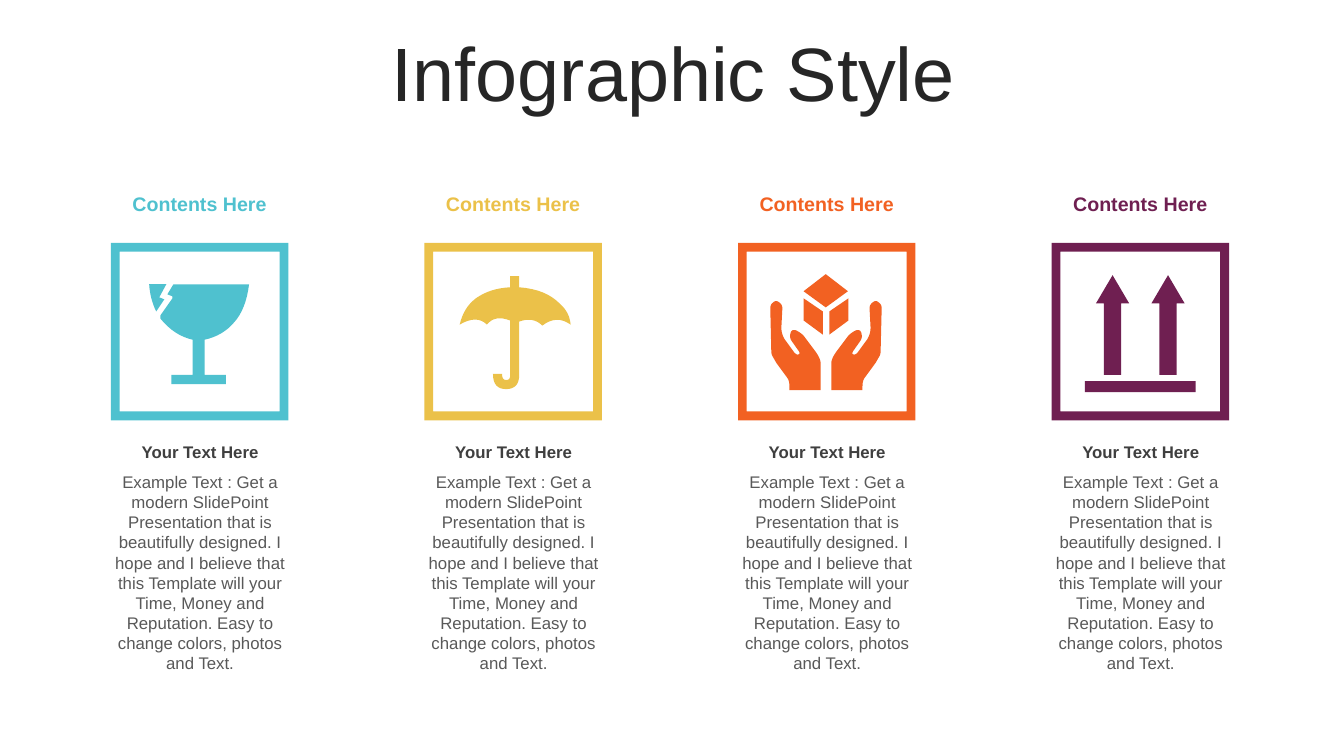
from dataclasses import dataclass

from pptx import Presentation
from pptx import util as u
from pptx.dml import color
from pptx.enum import shapes, text

COLUMNS, ROWS = 1333, 750
COLUMN_PITCH = 311
FRAME_LEFT, FRAME_TOP, FRAME_SIZE, FRAME_BORDER = 110, 241, 176, 8.7
HANDS_AXIS = 87.25
CURVE_STEPS = 8

HEADING = "Contents Here"
SUBHEADING = "Your Text Here"
BODY = (
    "Example Text : Get a modern SlidePoint Presentation that is beautifully "
    "designed. I hope and I believe that this Template will your Time, Money "
    "and Reputation. Easy to change colors, photos and Text."
)

GLASS_SHARD = [(38, 41), (55, 41), (48, 54), (53, 56), (45, 68), (39, 56, 38, 41)]
GLASS = [
    (61, 53), (56, 51), (62, 41), (137, 41), (134, 66, 122, 79), (111, 92, 93, 96),
    (93, 131), (114, 131), (114, 140), (60, 140), (60, 131), (81, 131), (81, 96),
    (63, 92, 49, 75), (49, 72), (61, 55),
]
UMBRELLA = [
    (62, 81), (52, 71, 35, 81), (39, 64, 51, 55), (65, 45, 85, 44), (85, 33),
    (94, 33), (94, 44), (121, 46, 135, 61), (144, 69, 145, 81), (131, 71, 117, 82),
    (108, 73, 94, 78), (94, 131), (94, 145, 81, 145), (68, 145, 68, 130), (77, 130),
    (77, 136, 81, 136), (85, 136, 85, 132), (85, 77), (70, 71, 62, 81),
]
HAND = [
    (82, 146), (51, 146), (51, 142), (51, 137, 49, 134), (38, 119), (34, 112),
    (33, 110, 33, 107), (32, 65), (32, 61, 35, 59), (38, 56, 42, 60),
    (44, 62, 44, 65), (43, 84), (43, 92, 48, 98), (56, 109), (59, 112, 61, 110),
    (61, 108, 60, 107), (53, 97), (51, 94, 52, 90), (53, 85, 58, 87),
    (62, 89, 65, 92), (77, 108), (82, 115, 82, 120),
]
BOX_TOP = [(109, 48), (87, 64), (65, 48), (87, 31)]
BOX_SIDE = [(65, 55), (84, 68), (84, 91), (65, 77)]


@dataclass(frozen=True)
class Theme:
    font: str = "Arial"
    title: str = "262626"
    subheading: str = "3F3F3F"
    body: str = "595959"
    accents: tuple = ("4FC1CF", "EBC149", "F26122", "6F1F51")
    title_size: int = 54
    heading_size: int = 14
    body_size: int = 12


def mirrored(outline):
    return [
        tuple(2 * HANDS_AXIS - value if index % 2 == 0 else value
              for index, value in enumerate(step))
        for step in outline
    ]


def flattened(outline):
    points = []
    for step in outline:
        if len(step) == 2:
            points.append(step)
            continue
        start, control, end = points[-1], step[:2], step[2:]
        for index in range(1, CURVE_STEPS + 1):
            t = index / CURVE_STEPS
            points.append(tuple(
                (1 - t) ** 2 * a + 2 * t * (1 - t) * b + t ** 2 * c
                for a, b, c in zip(start, control, end)
            ))
    return points


class SlideBuilder:
    """Draw themed elements on a slide measured in grid columns and rows."""

    def __init__(self, presentation, theme):
        self.theme = theme
        self.column = presentation.slide_width / COLUMNS
        self.row = presentation.slide_height / ROWS
        self.slide = presentation.slides.add_slide(presentation.slide_layouts[5])

    def box(self, left, top, width, height):
        return (round(left * self.column), round(top * self.row),
                round(width * self.column), round(height * self.row))

    def style(self, paragraph, size, rgb, bold=False):
        paragraph.alignment = text.PP_ALIGN.CENTER
        paragraph.font.name = self.theme.font
        paragraph.font.size = u.Pt(size)
        paragraph.font.bold = bold
        paragraph.font.color.rgb = color.RGBColor.from_string(rgb)

    def paint(self, shape, rgb):
        shape.shadow.inherit = False
        shape.fill.solid()
        shape.fill.fore_color.rgb = color.RGBColor.from_string(rgb)
        shape.line.fill.background()

    def title(self, wording, *place):
        shape = self.slide.shapes.title
        shape.left, shape.top, shape.width, shape.height = self.box(*place)
        frame = shape.text_frame
        frame.text = wording
        frame.auto_size = text.MSO_AUTO_SIZE.NONE
        frame.vertical_anchor = text.MSO_ANCHOR.MIDDLE
        frame.paragraphs[0].line_spacing = 0.9
        self.style(frame.paragraphs[0], self.theme.title_size, self.theme.title)

    def label(self, wording, place, size, rgb, bold=False):
        frame = self.slide.shapes.add_textbox(*self.box(*place)).text_frame
        frame.word_wrap = True
        frame.text = wording
        self.style(frame.paragraphs[0], size, rgb, bold)

    def preset(self, kind, place, rgb, *adjustments):
        shape = self.slide.shapes.add_shape(kind, *self.box(*place))
        for index, value in enumerate(adjustments):
            shape.adjustments[index] = value
        self.paint(shape, rgb)

    def outline(self, steps, left, top, rgb):
        points = [((left + x) * self.column, (top + y) * self.row)
                  for x, y in flattened(steps)]
        builder = self.slide.shapes.build_freeform(*points[0])
        builder.add_line_segments(points[1:], close=True)
        self.paint(builder.convert_to_shape(), rgb)

    def up_arrows(self, left, top, rgb):
        for offset in (44, 99):
            self.preset(shapes.MSO_SHAPE.UP_ARROW, (left + offset, top + 32, 33, 99),
                        rgb, 0.52, 0.85)
        self.preset(shapes.MSO_SHAPE.RECTANGLE, (left + 33, top + 137, 110, 11), rgb)

    def content_column(self, index, outlines):
        theme, rgb = self.theme, self.theme.accents[index]
        shift = index * COLUMN_PITCH
        left = FRAME_LEFT + shift
        self.preset(shapes.MSO_SHAPE.FRAME, (left, FRAME_TOP, FRAME_SIZE, FRAME_SIZE),
                    rgb, FRAME_BORDER / FRAME_SIZE)
        for steps in outlines:
            self.outline(steps, left, FRAME_TOP, rgb)
        if not outlines:
            self.up_arrows(left, FRAME_TOP, rgb)
        self.label(HEADING, (85 + shift, 186, 226, 34), theme.heading_size, rgb, True)
        self.label(SUBHEADING, (92 + shift, 433, 213, 30), theme.body_size,
                   theme.subheading, True)
        self.label(BODY, (92 + shift, 463, 213, 212), theme.body_size, theme.body)


def main():
    presentation = Presentation()
    presentation.slide_width = u.Inches(13.33)
    presentation.slide_height = u.Inches(7.5)
    builder = SlideBuilder(presentation, Theme())
    builder.title("Infographic Style", 35, 37, 1266, 79)
    icons = (
        [GLASS, GLASS_SHARD],
        [UMBRELLA],
        [HAND, mirrored(HAND), BOX_TOP, BOX_SIDE, mirrored(BOX_SIDE)],
        [],
    )
    for index, outlines in enumerate(icons):
        builder.content_column(index, outlines)
    presentation.save("out.pptx")


if __name__ == "__main__":
    main()
